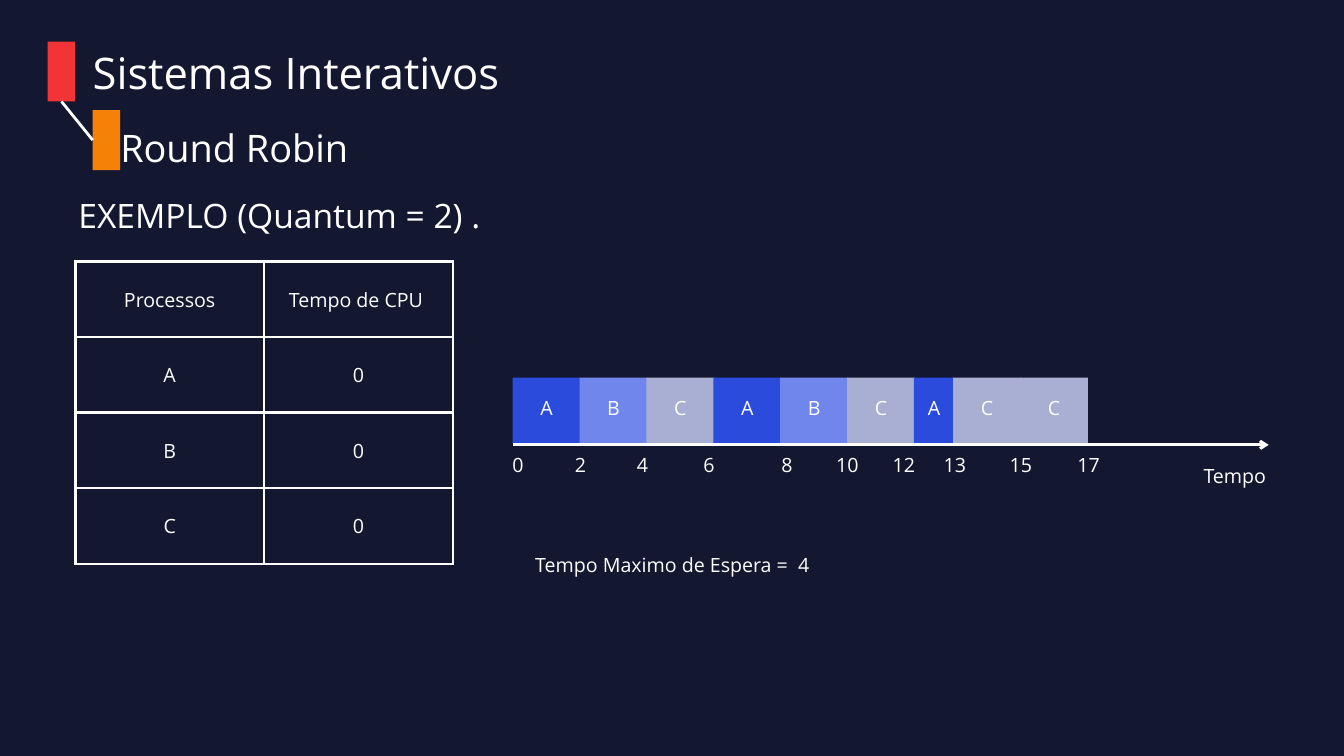
import pptx
import pptx.util
import pptx.dml.color
import pptx.enum.shapes
import pptx.enum.text
import pptx.oxml
import pptx.oxml.ns

Inches, Pt = pptx.util.Inches, pptx.util.Pt
ALIGN = pptx.enum.text.PP_ALIGN
MIDDLE = pptx.enum.text.MSO_ANCHOR.MIDDLE
RECTANGLE = pptx.enum.shapes.MSO_SHAPE.RECTANGLE
STRAIGHT = pptx.enum.shapes.MSO_CONNECTOR.STRAIGHT

FONT = "Open Sans"
WHITE, NAVY, RED, ORANGE = "FFFFFF", "131830", "F23436", "F68107"
PROCESS_COLOURS = {"A": "2B4BDD", "B": "7086EC", "C": "A8AFD2"}
BODY_SIZE, BODY_LEADING = 21, 29.4

# text, left, top, width, height, size, leading, alignment
TEXTS = [
    ("Sistemas Interativos", 1.38, 0.68, 14.74, 0.78, 46.6, 55.9, ALIGN.LEFT),
    ("Round Robin", 1.79, 1.86, 14.74, 0.67, 40.6, 48.7, ALIGN.LEFT),
    ("EXEMPLO (Quantum = 2) .", 0.92, 2.8, 6.48, 0.67, 36, 50.4, ALIGN.CENTER),
    ("Tempo", 17.9, 6.85, 0.95, 0.39, BODY_SIZE, BODY_LEADING, ALIGN.CENTER),
    ("Tempo Maximo de Espera =  4", 7.95, 8.17, 4.11, 0.39, BODY_SIZE, BODY_LEADING, ALIGN.CENTER),
]
TABLE = [("Processos", "Tempo de CPU "), ("A", "0"), ("B", "0"), ("C", "0")]
TABLE_LEFT, TABLE_TOP, COLUMN, ROW = 1.12, 3.89, 2.81, 1.125

SCHEDULE = "ABCABCACC"
SHORT_SLICE = 6
AXIS_LEFT, AXIS_RIGHT, AXIS_Y = 7.63, 18.88, 6.62
SLICE_TOP, SLICE_HEIGHT, SLICE_WIDTH, SHORT_WIDTH, OVERLAP = 5.62, 0.97, 1.01, 0.6, 0.015
# time and the centre of its label
TICKS = [(0, 7.71), (2, 8.64), (4, 9.56), (6, 10.55), (8, 11.71),
         (10, 12.61), (12, 13.45), (13, 14.21), (15, 15.19), (17, 16.2)]
TICK_TOP, TICK_HEIGHT, DIGIT = 6.68, 0.39, 0.17


def rgb(colour):
    return pptx.dml.color.RGBColor.from_string(colour)


def write(frame, text, size=BODY_SIZE, leading=BODY_LEADING, align=ALIGN.CENTER):
    para = frame.paragraphs[0]
    para.text = text
    para.alignment = align
    para.line_spacing = Pt(leading)
    para.font.name = FONT
    para.font.size = Pt(size)
    para.font.color.rgb = rgb(WHITE)


def set_margins(holder, left, top, right, bottom):
    holder.margin_left, holder.margin_top = Inches(left), Inches(top)
    holder.margin_right, holder.margin_bottom = Inches(right), Inches(bottom)


def add_text(page, text, left, top, width, height, size=BODY_SIZE,
             leading=BODY_LEADING, align=ALIGN.CENTER):
    box = page.shapes.add_textbox(*map(Inches, (left, top, width, height)))
    frame = box.text_frame
    frame.word_wrap = align == ALIGN.LEFT
    set_margins(frame, 0, 0, 0, 0)
    write(frame, text, size, leading, align)


def add_block(page, left, top, width, height, colour):
    block = page.shapes.add_shape(RECTANGLE, *map(Inches, (left, top, width, height)))
    block.shadow.inherit = False
    block.fill.solid()
    block.fill.fore_color.rgb = rgb(colour)
    block.line.fill.background()
    return block


def add_line(page, x1, y1, x2, y2):
    line = page.shapes.add_connector(STRAIGHT, *map(Inches, (x1, y1, x2, y2)))
    line.line.color.rgb = rgb(WHITE)
    line.line.width = Pt(3)
    pptx.oxml.ns  # namespace helpers used below
    line._element.spPr.append(pptx.oxml.parse_xml(
        f'<a:effectLst {pptx.oxml.ns.nsdecls("a")}/>'))
    return line


def add_borders(cell):
    properties = cell._tc.get_or_add_tcPr()
    for index, side in enumerate("LRTB"):
        properties.insert(index, pptx.oxml.parse_xml(
            f'<a:ln{side} {pptx.oxml.ns.nsdecls("a")} w="{Pt(3)}"><a:solidFill>'
            f'<a:srgbClr val="{WHITE}"/></a:solidFill></a:ln{side}>'))


def add_process_table(page):
    rows, columns = len(TABLE), len(TABLE[0])
    table = page.shapes.add_table(
        rows, columns, Inches(TABLE_LEFT), Inches(TABLE_TOP),
        Inches(COLUMN * columns), Inches(ROW * rows)).table
    table.first_row = table.horz_banding = False
    for row, values in enumerate(TABLE):
        for column, value in enumerate(values):
            cell = table.cell(row, column)
            cell.fill.background()
            cell.vertical_anchor = MIDDLE
            set_margins(cell, 0.21, 0.21, 0.21, 0.21)
            write(cell.text_frame, value)
            add_borders(cell)


def add_timeline(page):
    axis = add_line(page, AXIS_LEFT, AXIS_Y, AXIS_RIGHT, AXIS_Y)
    axis.line._get_or_add_ln().append(pptx.oxml.parse_xml(
        f'<a:tailEnd {pptx.oxml.ns.nsdecls("a")} type="arrow"/>'))
    left = AXIS_LEFT
    for index, process in enumerate(SCHEDULE):
        width = SHORT_WIDTH if index == SHORT_SLICE else SLICE_WIDTH
        block = add_block(page, left, SLICE_TOP, width, SLICE_HEIGHT, PROCESS_COLOURS[process])
        set_margins(block.text_frame, 0.06, 0.06, 0.06, 0.21)
        block.text_frame.vertical_anchor = MIDDLE
        write(block.text_frame, process)
        left += width - OVERLAP
    for time, centre in TICKS:
        width = DIGIT * len(str(time))
        add_text(page, str(time), centre - width / 2, TICK_TOP, width, TICK_HEIGHT)


def main():
    deck = pptx.Presentation()
    deck.slide_width, deck.slide_height = Inches(20), Inches(11.25)
    page = deck.slides.add_slide(deck.slide_layouts[6])
    page.background.fill.solid()
    page.background.fill.fore_color.rgb = rgb(NAVY)

    title_mark = add_block(page, 0.71, 0.62, 0.41, 0.89, RED)
    subtitle_mark = add_block(page, 1.38, 1.64, 0.41, 0.89, ORANGE)
    link = add_line(page, 0.92, 1.52, 1.38, 2.08)
    link.begin_connect(title_mark, 2)
    link.end_connect(subtitle_mark, 1)

    for item in TEXTS:
        add_text(page, *item)
    add_process_table(page)
    add_timeline(page)
    deck.save("out.pptx")


if __name__ == "__main__":
    main()
